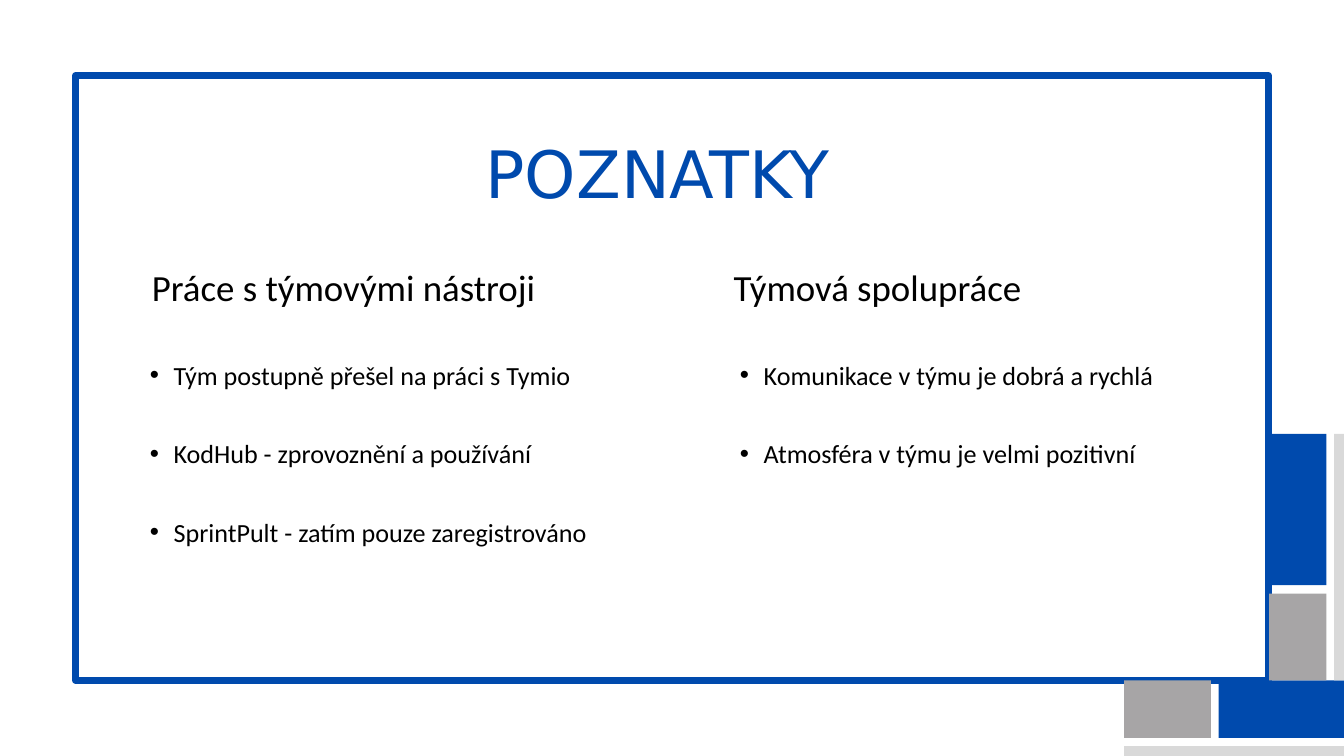
"""Build the POZNATKY slide: a framed two-column summary with corner blocks."""
from dataclasses import dataclass

import pptx
import pptx.dml.color
import pptx.enum.shapes
import pptx.enum.text
import pptx.oxml
import pptx.oxml.ns
import pptx.util

PIXEL = 9525
BLUE = pptx.dml.color.RGBColor(0x00, 0x4A, 0xAD)
GRAY = pptx.dml.color.RGBColor(0xA7, 0xA5, 0xA6)
LIGHT = pptx.dml.color.RGBColor(0xD9, 0xD9, 0xD9)
WHITE = pptx.dml.color.RGBColor(0xFF, 0xFF, 0xFF)
BLACK = pptx.dml.color.RGBColor(0x00, 0x00, 0x00)
ALIGN = pptx.enum.text.PP_ALIGN
BULLET_INDENT = 34
COLUMN_WIDTH = 718


@dataclass(frozen=True)
class Box:
    left: int
    top: int
    width: int
    height: int

    def emu(self) -> tuple[int, int, int, int]:
        return (self.left * PIXEL, self.top * PIXEL,
                self.width * PIXEL, self.height * PIXEL)


@dataclass(frozen=True)
class TextStyle:
    font: str
    size: float
    line: int
    color: pptx.dml.color.RGBColor
    align: ALIGN


@dataclass(frozen=True)
class Column:
    heading: str
    heading_left: int
    list_left: int
    list_height: int
    items: tuple[str, ...]


TITLE = TextStyle("DejaVu Sans", 70, 98, BLUE, ALIGN.CENTER)
HEADING = TextStyle("Calibri", 39.5, 56, BLACK, ALIGN.JUSTIFY)
BODY = TextStyle("Calibri", 28, 42, BLACK, ALIGN.JUSTIFY)

FRAME = Box(108, 108, 1704, 864)
BLOCKS = (
    (Box(1741, 972, 214, 82), BLUE),
    (Box(1606, 972, 124, 82), GRAY),
    (Box(1606, 1066, 349, 67), LIGHT),
    (Box(1813, 620, 82, 216), BLUE),
    (Box(1813, 848, 82, 124), GRAY),
    (Box(1906, 620, 67, 352), LIGHT),
)
COLUMNS = (
    Column("Práce s týmovými nástroji", 217, 180, 333, (
        "Tým postupně přešel na práci s Tymio",
        "KodHub - zprovoznění a používání",
        "SprintPult - zatím pouze zaregistrováno",
    )),
    Column("Týmová spolupráce", 1048, 1023, 165, (
        "Komunikace v týmu je dobrá a rychlá",
        "Atmosféra v týmu je velmi pozitivní",
    )),
)


def add_block(slide, box: Box, color: pptx.dml.color.RGBColor):
    shape = slide.shapes.add_shape(
        pptx.enum.shapes.MSO_SHAPE.RECTANGLE, *box.emu())
    shape.shadow.inherit = False
    shape.fill.solid()
    shape.fill.fore_color.rgb = color
    shape.line.fill.background()
    return shape


def add_bullet(paragraph) -> None:
    properties = paragraph._p.get_or_add_pPr()
    properties.set("marL", str(2 * BULLET_INDENT * PIXEL))
    properties.set("indent", str(-BULLET_INDENT * PIXEL))
    namespace = pptx.oxml.ns.nsdecls("a")
    for markup in (f'<a:buFont {namespace} typeface="Arial"/>',
                   f'<a:buChar {namespace} char="•"/>'):
        properties.append(pptx.oxml.parse_xml(markup))


def write_text(shape, lines: tuple[str, ...], style: TextStyle,
               bulleted: bool = False) -> None:
    frame = shape.text_frame
    frame.word_wrap = True
    frame.auto_size = pptx.enum.text.MSO_AUTO_SIZE.NONE
    frame.vertical_anchor = pptx.enum.text.MSO_ANCHOR.TOP
    frame.margin_left = frame.margin_right = 0
    frame.margin_top = frame.margin_bottom = 0
    for index, line in enumerate(lines):
        paragraph = frame.add_paragraph() if index else frame.paragraphs[0]
        paragraph.text = line
        if bulleted:
            add_bullet(paragraph)
        paragraph.alignment = style.align
        paragraph.line_spacing = pptx.util.Pt(style.line)
        paragraph.space_before = pptx.util.Pt(style.line if index else 0)
        paragraph.font.name = style.font
        paragraph.font.size = pptx.util.Pt(style.size)
        paragraph.font.color.rgb = style.color


def add_column(slide, column: Column) -> None:
    heading = slide.shapes.add_textbox(
        *Box(column.heading_left, 366, COLUMN_WIDTH, 70).emu())
    write_text(heading, (column.heading,), HEADING)
    items = slide.shapes.add_textbox(
        *Box(column.list_left, 502, COLUMN_WIDTH, column.list_height).emu())
    write_text(items, column.items, BODY, bulleted=True)


def main() -> None:
    presentation = pptx.Presentation()
    presentation.slide_width = 1920 * PIXEL
    presentation.slide_height = 1080 * PIXEL
    slide = presentation.slides.add_slide(presentation.slide_layouts[5])

    title = slide.shapes.title
    title.left, title.top, title.width, title.height = Box(539, 171, 801, 127).emu()
    write_text(title, ("POZNATKY",), TITLE)

    frame = add_block(slide, FRAME, WHITE)
    frame.line.color.rgb = BLUE
    frame.line.width = pptx.util.Pt(7.5)
    title.element.addprevious(frame.element)

    for column in COLUMNS:
        add_column(slide, column)
    for box, color in BLOCKS:
        add_block(slide, box, color)
    presentation.save("out.pptx")


if __name__ == "__main__":
    main()
